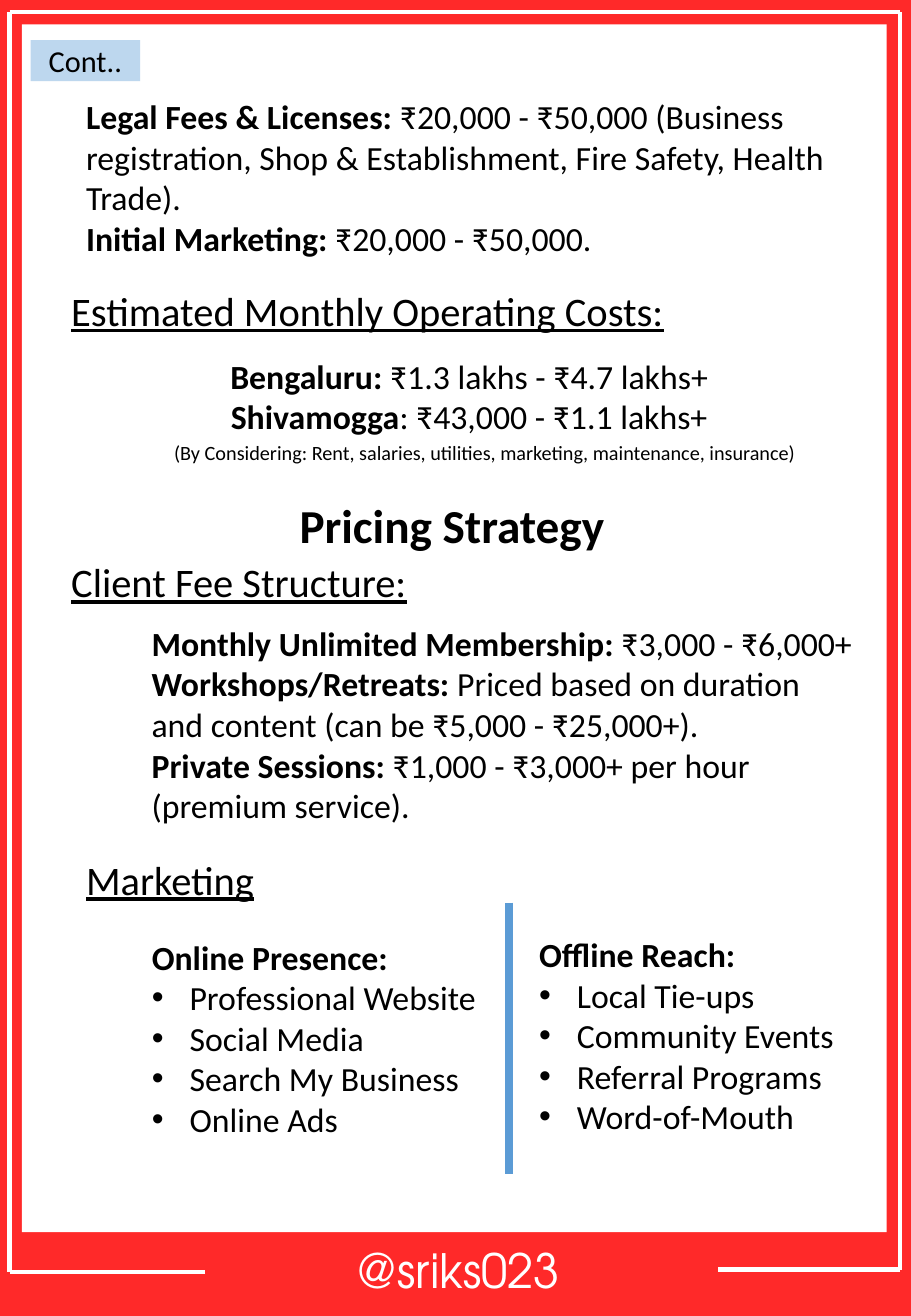
from itertools import pairwise

from lxml.etree import SubElement
from pptx import Presentation
from pptx.dml.color import RGBColor
from pptx.enum.shapes import MSO_CONNECTOR, MSO_SHAPE
from pptx.enum.text import MSO_ANCHOR, MSO_AUTO_SIZE, PP_ALIGN
from pptx.oxml.ns import qn
from pptx.util import Cm, Pt

RED, WHITE, BLACK = "FF2929", "FFFFFF", "000000"
PALE_BLUE, BLUE = "BDD7EE", "5B9BD5"
BODY_SIZE, HEADING_SIZE, TITLE_SIZE = 20, 24, 28
BULLET_INDENT = 0.79
FRAME = [(4.29, 26.59), (0.2, 26.59), (0.2, 0.25),
         (18.82, 0.25), (18.82, 26.54), (15.01, 26.54)]

START_UP_COSTS = [
    ("Legal Fees & Licenses:", " ₹20,000 - ₹50,000 (Business registration, "
     "Shop & Establishment, Fire Safety, Health Trade)."),
    ("Initial Marketing:", " ₹20,000 - ₹50,000."),
]
MONTHLY_COSTS = [
    ("Bengaluru:", " ₹1.3 lakhs - ₹4.7 lakhs+"),
    ("Shivamogga", ": ₹43,000 - ₹1.1 lakhs+"),
]
COST_NOTE = "(By Considering: Rent, salaries, utilities, marketing, maintenance, insurance)"
CLIENT_FEES = [
    ("Monthly Unlimited Membership:", " ₹3,000 - ₹6,000+"),
    ("Workshops/Retreats:", " Priced based on duration and content (can be ₹5,000 - ₹25,000+)."),
    ("Private Sessions:", " ₹1,000 - ₹3,000+ per hour (premium service)."),
]
ONLINE = ["Professional Website", "Social Media", "Search My Business", "Online Ads"]
OFFLINE = ["Local Tie-ups", "Community Events", "Referral Programs", "Word-of-Mouth"]


def color(hex_code):
    return RGBColor.from_string(hex_code)


def style_font(font, size, hex_code=BLACK, bold=False, underline=False, name="Calibri"):
    font.name = name
    font.size = Pt(size)
    font.bold = bold
    font.underline = underline
    font.color.rgb = color(hex_code)


def prepare_frame(frame):
    frame.word_wrap = True
    frame.auto_size = MSO_AUTO_SIZE.NONE
    frame.vertical_anchor = MSO_ANCHOR.MIDDLE
    return frame


def place(shape, box):
    shape.left, shape.top, shape.width, shape.height = map(Cm, box)


def add_panel(slide, box, fill):
    panel = slide.shapes.add_shape(MSO_SHAPE.RECTANGLE, *map(Cm, box))
    panel.shadow.inherit = False
    panel.fill.solid()
    panel.fill.fore_color.rgb = color(fill)
    panel.line.fill.background()
    return panel


def add_line(slide, start, end, hex_code, width):
    line = slide.shapes.add_connector(MSO_CONNECTOR.STRAIGHT, *map(Cm, start + end))
    line.line.color.rgb = color(hex_code)
    line.line.width = Pt(width)
    SubElement(line.element.spPr, qn("a:effectLst"))


def write_line(frame, text, align, size, **style):
    frame.text = text
    paragraph = frame.paragraphs[0]
    paragraph.alignment = align
    style_font(paragraph.runs[0].font, size, **style)


def add_text(slide, box, text, align, size, **style):
    frame = prepare_frame(slide.shapes.add_textbox(*map(Cm, box)).text_frame)
    write_line(frame, text, align, size, **style)


def add_heading(slide, box, text):
    add_text(slide, box, text, PP_ALIGN.LEFT, HEADING_SIZE, underline=True)


def add_labelled_text(slide, box, entries, align=PP_ALIGN.LEFT):
    """Write one paragraph per entry: a bold label, then plain detail."""
    frame = prepare_frame(slide.shapes.add_textbox(*map(Cm, box)).text_frame)
    for number, entry in enumerate(entries):
        paragraph = frame.add_paragraph() if number else frame.paragraphs[0]
        paragraph.alignment = align
        for part, text in enumerate(entry):
            run = paragraph.add_run()
            run.text = text
            style_font(run.font, BODY_SIZE, bold=part == 0)


def set_bullet(paragraph, bulleted):
    indent = Cm(BULLET_INDENT if bulleted else 0)
    properties = paragraph._p.get_or_add_pPr()
    properties.set("marL", str(indent))
    properties.set("indent", str(-indent))
    if bulleted:
        SubElement(properties, qn("a:buFont"), typeface="Arial")
        SubElement(properties, qn("a:buChar"), char="•")
    else:
        SubElement(properties, qn("a:buNone"))


def fill_list(placeholder, box, heading, items):
    place(placeholder, box)
    frame = prepare_frame(placeholder.text_frame)
    frame.text = "\n".join([heading, *items])
    for number, paragraph in enumerate(frame.paragraphs):
        paragraph.alignment = PP_ALIGN.LEFT
        paragraph.space_before = Pt(0)
        set_bullet(paragraph, number > 0)
        style_font(paragraph.runs[0].font, BODY_SIZE, bold=number == 0)


def main():
    deck = Presentation()
    deck.slide_width, deck.slide_height = Cm(19.05), Cm(27.51)
    slide = deck.slides.add_slide(deck.slide_layouts.get_by_name("Two Content"))
    slide.background.fill.solid()
    slide.background.fill.fore_color.rgb = color(RED)
    title, online, offline = slide.placeholders

    sheet = add_panel(slide, (0.46, 0.51, 18.08, 25.25), WHITE)
    title.element.addprevious(sheet.element)
    for start, end in pairwise(FRAME):
        add_line(slide, start, end, WHITE, 2.75)
    add_text(slide, (6.65, 25.81, 5.87, 1.45), "@sriks023", PP_ALIGN.CENTER,
             TITLE_SIZE, hex_code=WHITE, name="TeX Gyre Adventor")

    tag = add_panel(slide, (0.64, 0.84, 2.29, 0.86), PALE_BLUE)
    write_line(prepare_frame(tag.text_frame), "Cont..", PP_ALIGN.CENTER, 18)
    add_labelled_text(slide, (1.55, 2.03, 16.23, 3.35), START_UP_COSTS)

    add_heading(slide, (1.24, 5.61, 13.03, 1.75), "Estimated Monthly Operating Costs:")
    add_labelled_text(slide, (1.85, 7.26, 15.93, 2.03), MONTHLY_COSTS, PP_ALIGN.CENTER)
    add_text(slide, (2.13, 9.17, 16.03, 0.58), COST_NOTE, PP_ALIGN.CENTER, 12)

    place(title, (4.32, 10.13, 10.26, 1.68))
    write_line(prepare_frame(title.text_frame), "Pricing Strategy", PP_ALIGN.CENTER,
               TITLE_SIZE, bold=True)
    add_heading(slide, (1.24, 11.66, 7.7, 0.99), "Client Fee Structure:")
    add_labelled_text(slide, (2.92, 12.62, 15.24, 5.03), CLIENT_FEES)

    add_heading(slide, (1.55, 17.88, 7.7, 0.99), "Marketing")
    fill_list(online, (2.92, 18.87, 7.29, 5.64), "Online Presence:", ONLINE)
    add_line(slide, (10.64, 18.87), (10.64, 24.54), BLUE, 5)
    fill_list(offline, (11.02, 18.82, 7.14, 5.64), "Offline Reach:", OFFLINE)

    deck.save("out.pptx")


if __name__ == "__main__":
    main()
